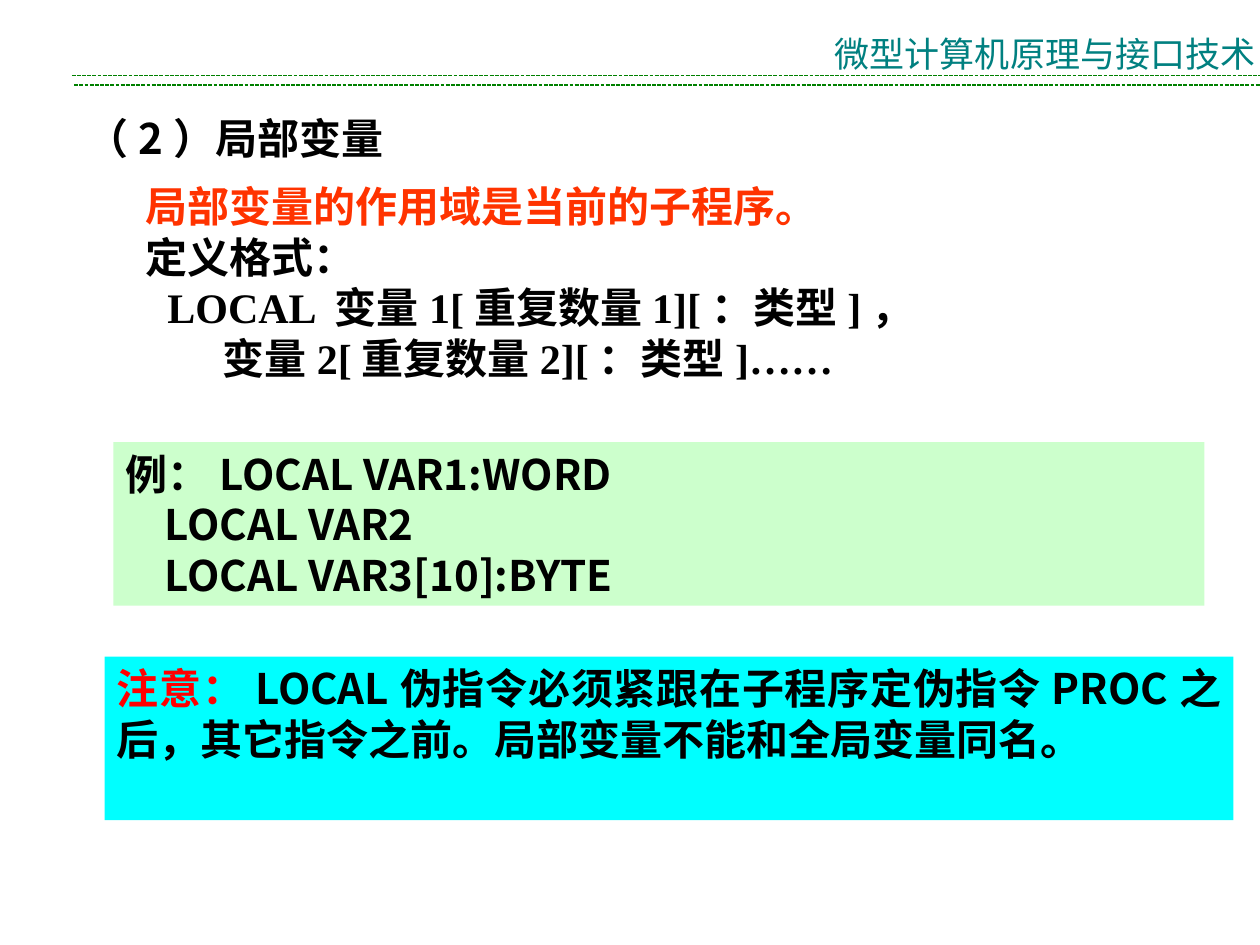
import pptx
import pptx.dml.color
import pptx.enum.dml
import pptx.enum.shapes
import pptx.enum.text
import pptx.oxml
import pptx.oxml.ns
import pptx.util

WIDTH, HEIGHT = 10, 7.5
CJK_FONT = "Noto Sans CJK SC"
SERIF_FONT = "Times New Roman"
BLACK = "000000"
LEFT = pptx.enum.text.PP_ALIGN.LEFT
CENTER = pptx.enum.text.PP_ALIGN.CENTER
JUSTIFY = pptx.enum.text.PP_ALIGN.JUSTIFY


def color(hex_string):
    return pptx.dml.color.RGBColor.from_string(hex_string)


def box_lengths(*shares):
    """Turn shares of the slide's width and height into lengths."""
    return [pptx.util.Inches(share * size)
            for share, size in zip(shares, (WIDTH, HEIGHT) * 2)]


def add_rule(slide, left, top):
    """Draw a finely dashed rule from left to the slide's right edge."""
    x, y, right, _ = box_lengths(left, top, 1, 1)
    rule = slide.shapes.add_connector(
        pptx.enum.shapes.MSO_CONNECTOR.STRAIGHT, x, y, right, y)
    rule.line.color.rgb = color("008000")
    rule.line.width = pptx.util.Pt(0.75)
    rule.line.dash_style = pptx.enum.dml.MSO_LINE.SQUARE_DOT
    properties = rule._element.spPr
    properties.append(pptx.oxml.parse_xml(
        f"<a:effectLst {pptx.oxml.ns.nsdecls('a')}/>"))


def format_run(run, size, font, hex_string, bold):
    run.font.size = pptx.util.Pt(size)
    run.font.bold = bold
    run.font.color.rgb = color(hex_string)
    run.font.name = font
    run.font._element.append(pptx.oxml.parse_xml(
        f"<a:ea {pptx.oxml.ns.nsdecls('a')} typeface='{CJK_FONT}'/>"))


def add_text(slide, place, lines, align=JUSTIFY, font=CJK_FONT, size=24,
             bold=True, fill=None):
    """Add a box; each line is (indent in inches, [(text, colour), ...])."""
    lengths = box_lengths(*place)
    if fill:
        shape = slide.shapes.add_shape(
            pptx.enum.shapes.MSO_SHAPE.RECTANGLE, *lengths)
        shape.shadow.inherit = False
        shape.fill.solid()
        shape.fill.fore_color.rgb = color(fill)
        shape.line.fill.background()
    else:
        shape = slide.shapes.add_textbox(*lengths)
    frame = shape.text_frame
    frame.word_wrap = True
    frame.vertical_anchor = pptx.enum.text.MSO_ANCHOR.TOP
    for number, (indent, pieces) in enumerate(lines):
        paragraph = frame.add_paragraph() if number else frame.paragraphs[0]
        paragraph.alignment = align
        if indent:
            paragraph._element.get_or_add_pPr().set(
                "marL", str(pptx.util.Inches(indent)))
        for text, hex_string in pieces:
            run = paragraph.add_run()
            run.text = text
            format_run(run, size, font, hex_string, bold)
    return frame


def add_header(slide):
    add_rule(slide, 0.059, 0.09)
    title = add_text(slide, (0.659, 0.028, 0.341, 0.05),
                     [(0, [("微型计算机原理与接口技术", "008080")])],
                     align=CENTER, size=20, bold=False)
    title.margin_left = title.margin_right = 0
    add_rule(slide, 0.057, 0.08)


def main():
    presentation = pptx.Presentation()
    presentation.slide_width = pptx.util.Inches(WIDTH)
    presentation.slide_height = pptx.util.Inches(HEIGHT)
    slide = presentation.slides.add_slide(presentation.slide_layouts[6])

    add_header(slide)
    add_text(slide, (0.059, 0.112, 0.914, 0.067),
             [(0, [("（2）局部变量", BLACK)])])
    add_text(slide, (0.09, 0.468, 0.866, 0.173), [
        (0, [("例：LOCAL VAR1:WORD", BLACK)]),
        (0.31, [("LOCAL VAR2", BLACK)]),
        (0.31, [("LOCAL VAR3[10]:BYTE", BLACK)]),
    ], fill="CCFFCC")
    add_text(slide, (0.083, 0.695, 0.896, 0.173), [
        (0, [("注意：", "FF0000"),
             ("LOCAL伪指令必须紧跟在子程序定伪指令PROC之后，其它指令之前。"
              "局部变量不能和全局变量同名。", BLACK)]),
    ], fill="00FFFF")
    add_text(slide, (0.106, 0.185, 0.851, 0.227), [
        (0, [("局部变量的作用域是当前的子程序。", "FF3300")]),
        (0, [("定义格式：", BLACK)]),
        (0.17, [("LOCAL 变量1[重复数量1][：类型]，", BLACK)]),
        (0.61, [("变量2[重复数量2][：类型]……", BLACK)]),
    ], align=LEFT, font=SERIF_FONT)

    presentation.save("out.pptx")


if __name__ == "__main__":
    main()
